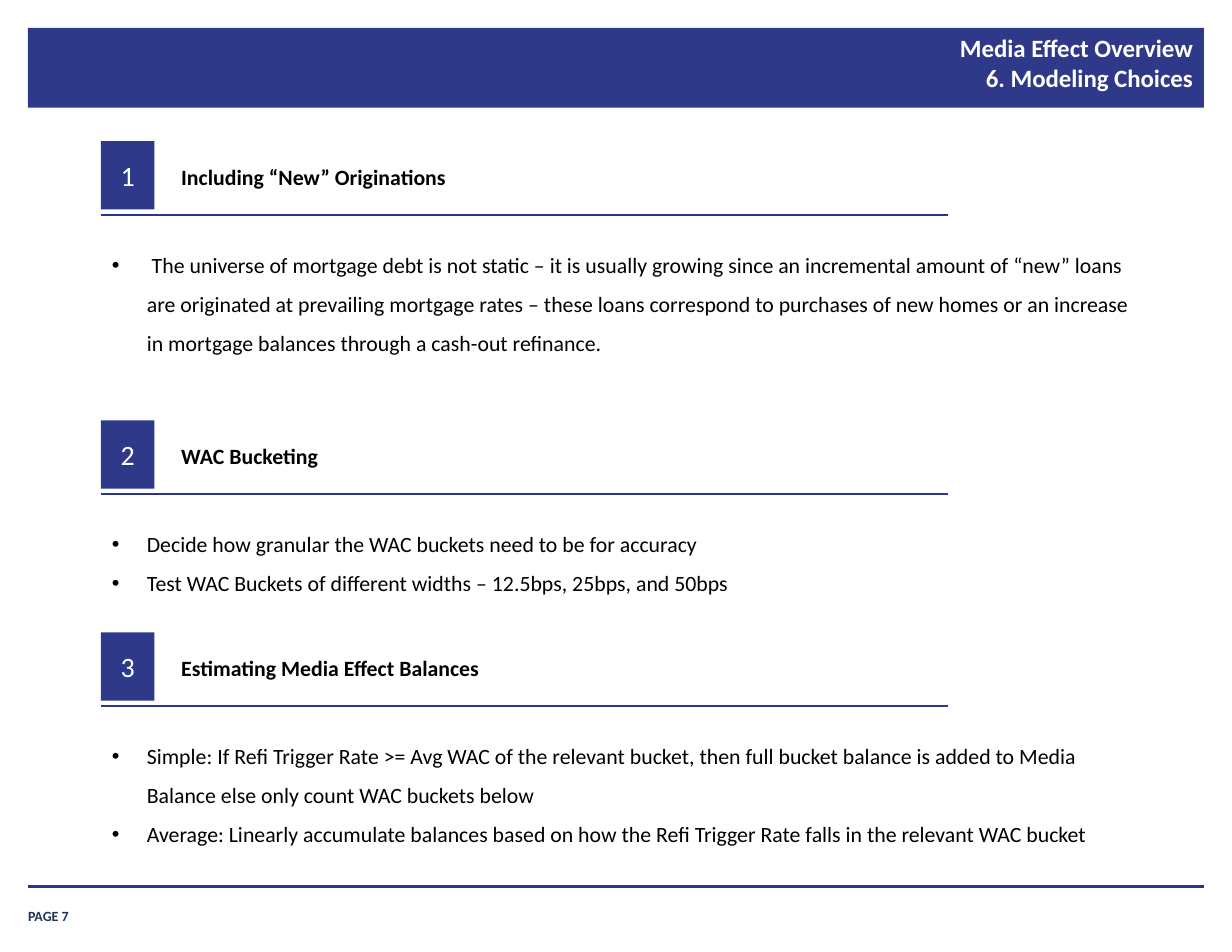
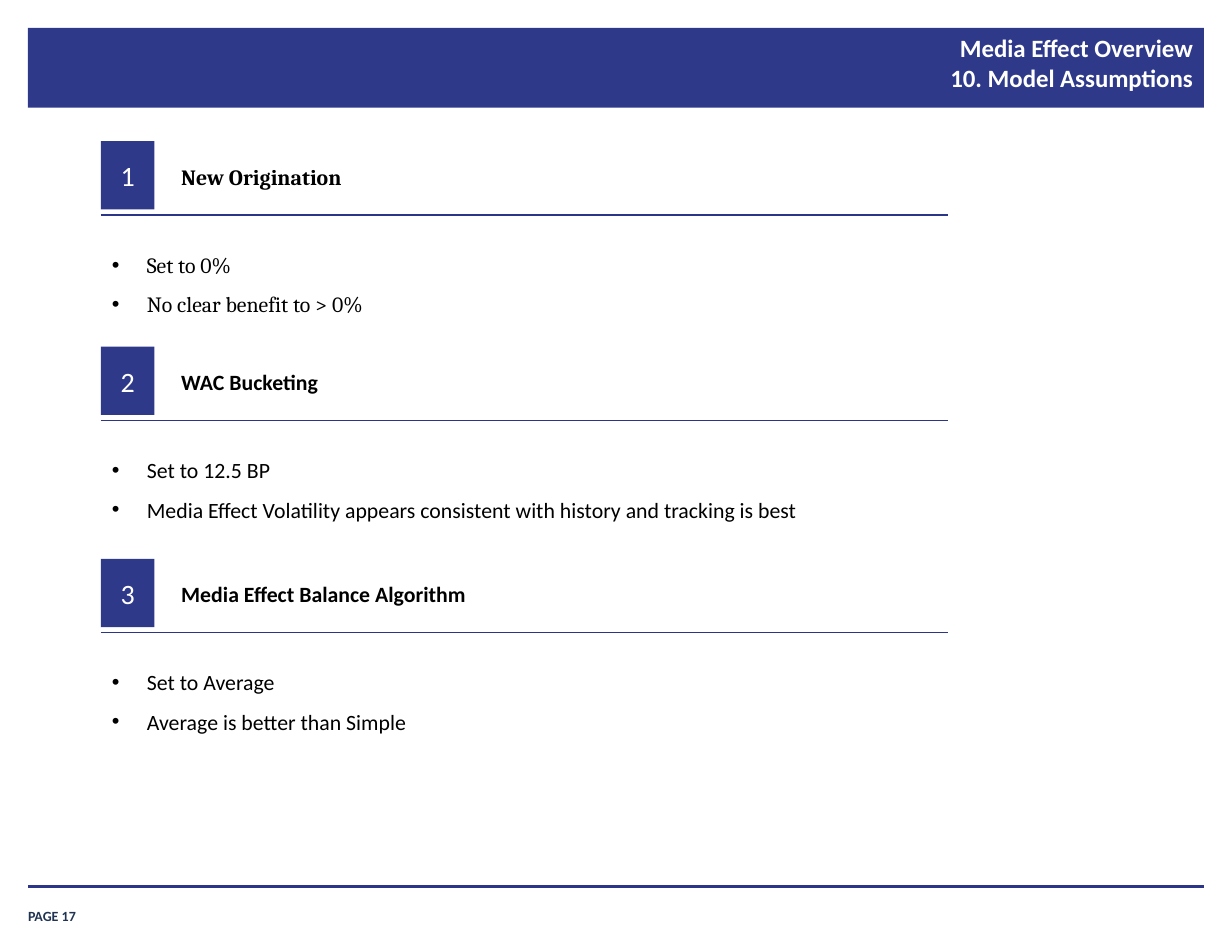
"""Build two slides of numbered model choices under a shared band and footer."""
import pptx
import pptx.dml.color
import pptx.enum.shapes
import pptx.enum.text
import pptx.util
from lxml import etree

Pt = pptx.util.Pt
Align = pptx.enum.text.PP_ALIGN
Anchor = pptx.enum.text.MSO_ANCHOR
Fit = pptx.enum.text.MSO_AUTO_SIZE
NS = "{http://schemas.openxmlformats.org/drawingml/2006/main}"

BLUE, RULE, NAVY = "2E398A", "2B3689", "203353"
WHITE, BLACK = "FFFFFF", "000000"
EDGE, WIDE = 18, 756
LEFT, INDENT = 64.8, 22.5

DECK = [
    ("6. Modeling Choices", 7, [
        (90.7, "Including “New” Originations", "Calibri", 108.7, [
            " The universe of mortgage debt is not static – it is usually growing since an "
            "incremental amount of “new” loans are originated at prevailing mortgage rates – "
            "these loans correspond to purchases of new homes or an increase in mortgage "
            "balances through a cash-out refinance."]),
        (270.2, "WAC Bucketing", "Calibri", 58.3, [
            "Decide how granular the WAC buckets need to be for accuracy",
            "Test WAC Buckets of different widths – 12.5bps, 25bps, and 50bps"]),
        (406.6, "Estimating Media Effect Balances", "Calibri", 83.5, [
            "Simple: If Refi Trigger Rate >= Avg WAC of the relevant bucket, then full bucket "
            "balance is added to Media Balance else only count WAC buckets below",
            "Average: Linearly accumulate balances based on how the Refi Trigger Rate falls in "
            "the relevant WAC bucket"]),
    ]),
    ("10. Model Assumptions", 17, [
        (90.7, "New Origination", "Cambria", 58.3, [
            "Set to 0%", "No clear benefit to > 0%"]),
        (222.9, "WAC Bucketing", "Calibri", 58.3, [
            "Set to 12.5 BP",
            "Media Effect Volatility appears consistent with history and tracking is best"]),
        (359.2, "Media Effect Balance Algorithm", "Calibri", 58.3, [
            "Set to Average", "Average is better than Simple"]),
    ]),
]


def tint(code):
    return pptx.dml.color.RGBColor.from_string(code)


def apply(item, **form):
    for key, value in form.items():
        setattr(item, key, value)


class Deck:
    def __init__(self):
        self.show = pptx.Presentation()
        apply(self.show, slide_width=Pt(792), slide_height=Pt(612))

    def start(self, title, page):
        self.slide = self.show.slides.add_slide(self.show.slide_layouts[5])
        self.home = self.slide.shapes
        self.block(EDGE, 18, WIDE, 51.3)
        self.label(EDGE, 577.5, 65.5, 16.5, [f"PAGE {page}"], size=9, color=NAVY,
                   bold=True, inset=(0, 0), anchor=Anchor.BOTTOM, fit=Fit.NONE)
        self.line(EDGE, 570, WIDE, 2)
        self.title(title)

    def title(self, name):
        head = self.slide.shapes.title
        head.element.getparent().append(head.element)
        apply(head, left=Pt(239), top=Pt(17.2), width=Pt(535.7), height=Pt(53.3))
        self.fill(head.text_frame, ["Media Effect Overview\v" + name], size=16,
                  color=WHITE, bold=True, align=Align.RIGHT, inset=(7.7, 4))

    def fill(self, frame, lines, size=14, font="Calibri", color=BLACK, bold=False,
             align=Align.LEFT, inset=(7.2, 3.6), anchor=Anchor.TOP, fit=Fit.NONE,
             bullet=False):
        side, edge = map(Pt, inset)
        apply(frame, word_wrap=True, auto_size=fit, vertical_anchor=anchor,
              margin_left=side, margin_right=side, margin_top=edge, margin_bottom=edge)
        for spot, line in enumerate(lines):
            para = frame.add_paragraph() if spot else frame.paragraphs[0]
            para.text = line
            apply(para, alignment=align, line_spacing=1.5 if bullet else 1)
            if bullet:
                self.bullet(para)
            for run in para.runs:
                apply(run.font, size=Pt(size), name=font, bold=bold)
                run.font.color.rgb = tint(color)

    def bullet(self, para):
        props = para._p.get_or_add_pPr()
        props.set("marL", str(Pt(INDENT)))
        props.set("indent", str(Pt(-INDENT)))
        etree.SubElement(props, NS + "buFont", typeface="Arial")
        etree.SubElement(props, NS + "buChar", char="•")

    def label(self, left, top, width, height, lines, **form):
        box = self.home.add_textbox(Pt(left), Pt(top), Pt(width), Pt(height))
        self.fill(box.text_frame, lines, **{"fit": Fit.SHAPE_TO_FIT_TEXT, **form})

    def block(self, left, top, width, height, mark=None):
        kind = pptx.enum.shapes.MSO_SHAPE.RECTANGLE
        shape = self.home.add_shape(kind, Pt(left), Pt(top), Pt(width), Pt(height))
        shape.shadow.inherit = False
        shape.fill.solid()
        shape.fill.fore_color.rgb = tint(BLUE)
        shape.line.fill.background()
        if mark:
            self.fill(shape.text_frame, [mark], size=18, color=WHITE,
                      align=Align.CENTER, anchor=Anchor.MIDDLE)

    def line(self, left, top, width, weight):
        kind = pptx.enum.shapes.MSO_CONNECTOR.STRAIGHT
        rule = self.home.add_connector(kind, Pt(left), Pt(top), Pt(left + width), Pt(top))
        rule.line.color.rgb = tint(RULE)
        rule.line.width = Pt(weight)
        etree.SubElement(rule.element.spPr, NS + "effectLst")

    def topic(self, mark, top, head, font, height, points):
        self.home = self.slide.shapes.add_group_shape().shapes
        self.block(LEFT, top, 34.5, 43.9, str(mark))
        self.line(LEFT, top + 47.4, 544.5, 1)
        self.label(109.4, top + 10.9, 320.4, 24.2, [head], font=font, bold=True)
        self.label(LEFT, top + 59, 673.2, height, points, font=font, bullet=True)


def main():
    deck = Deck()
    for title, page, topics in DECK:
        deck.start(title, page)
        for mark, topic in enumerate(topics, 1):
            deck.topic(mark, *topic)
    deck.show.save("out.pptx")


if __name__ == "__main__":
    main()
